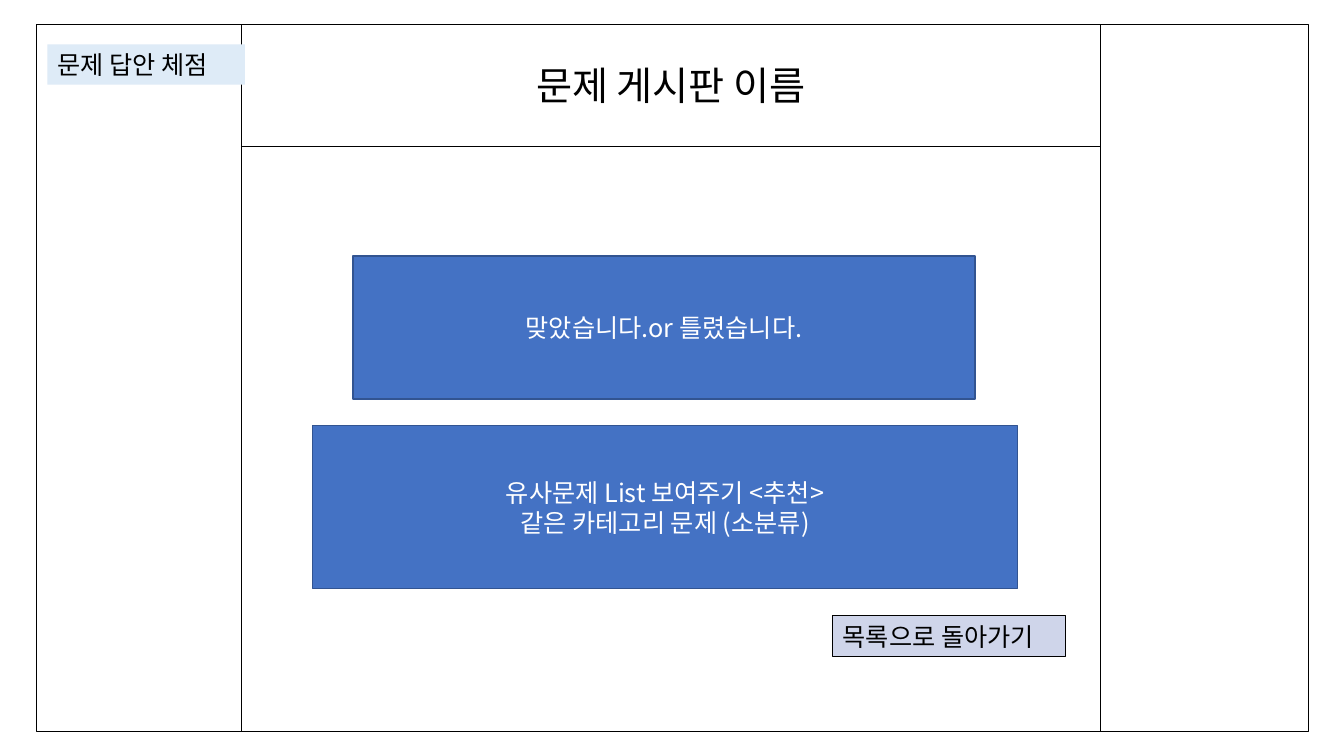
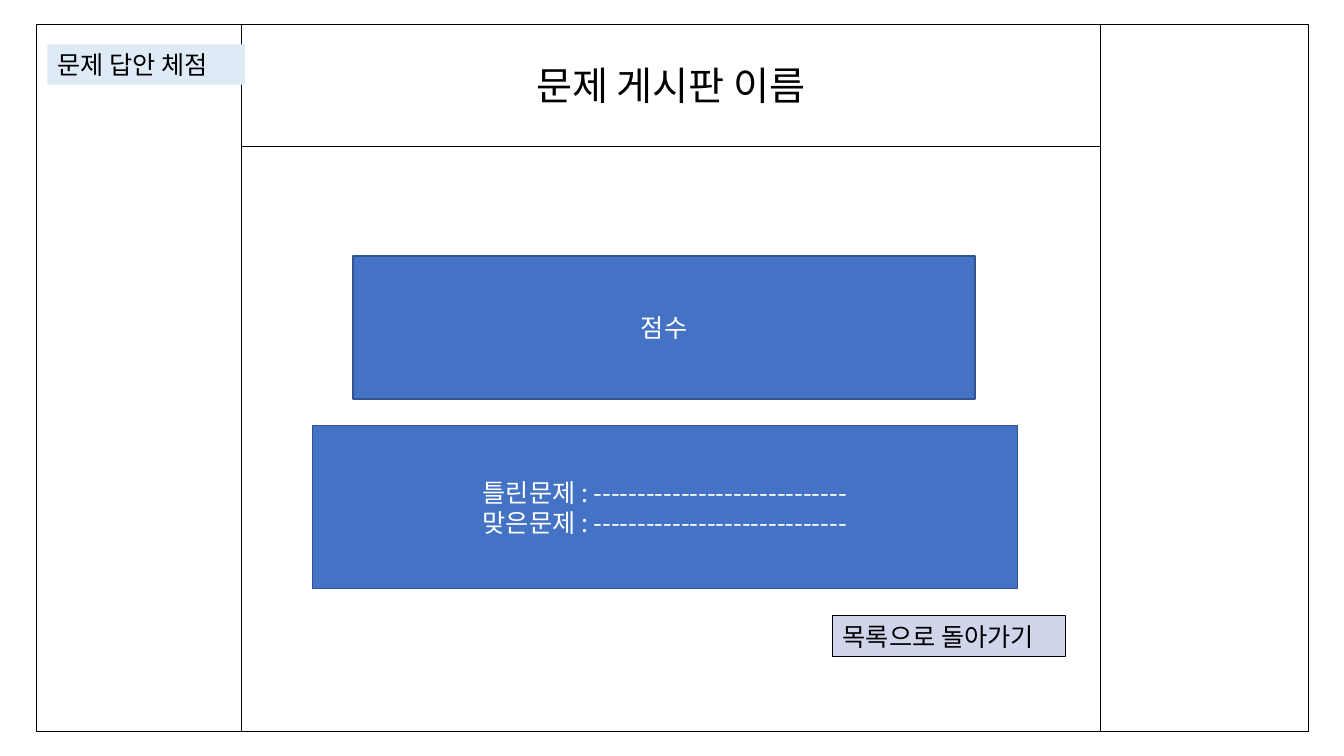
"""Wireframes of the grading result pages of a quiz board."""
from dataclasses import dataclass
from typing import Optional

import pptx
import pptx.dml.color
import pptx.enum.shapes
import pptx.enum.text
import pptx.oxml
import pptx.oxml.ns
import pptx.presentation
import pptx.shapes.autoshape
import pptx.slide
import pptx.util

ALIGN = pptx.enum.text.PP_ALIGN
ANCHOR = pptx.enum.text.MSO_ANCHOR
FIT = pptx.enum.text.MSO_AUTO_SIZE
WIDTH = pptx.util.Inches(13.33)
HEIGHT = pptx.util.Inches(7.5)
TITLE_ONLY = 5


@dataclass(frozen=True)
class Theme:
    """Colours, font and type sizes of all slides."""
    font: str = "Noto Sans CJK KR"
    title_size: int = 28
    body_size: int = 18
    dark: str = "000000"
    light: str = "FFFFFF"
    panel: str = "4472C4"
    panel_edge: str = "325491"
    label: str = "DEEBF7"
    button: str = "CFD5EA"


THEME = Theme()


@dataclass(frozen=True)
class Area:
    """A rectangle in percent of the slide's width and height."""
    left: float
    top: float
    width: float
    height: float

    @property
    def right(self) -> float:
        """Right edge in percent of the width."""
        return self.left + self.width

    @property
    def bottom(self) -> float:
        """Bottom edge in percent of the height."""
        return self.top + self.height


@dataclass(frozen=True)
class BoxStyle:
    """Look of a box and its text."""
    fill: Optional[str] = None
    edge: Optional[str] = None
    edge_width: float = 1
    text_color: str = THEME.dark
    align: ALIGN = ALIGN.LEFT
    anchor: ANCHOR = ANCHOR.TOP
    wrap: bool = True
    fit: FIT = FIT.SHAPE_TO_FIT_TEXT


@dataclass(frozen=True)
class ResultPage:
    """Texts that differ from page to page."""
    result: str
    details: str


FRAME = Area(2.7, 3.2, 94.65, 93.6)
LEFT_RULE, RIGHT_RULE, HEADER_RULE = 17.93, 81.85, 19.33
TITLE = Area(37.81, 7.47, 24.23, 7.6)
LABEL = Area(3.53, 5.87, 14.7, 5.33)
RESULT = Area(26.26, 33.87, 46.29, 18.93)
DETAILS = Area(23.26, 56.27, 52.44, 21.6)
BACK = Area(61.97, 81.47, 17.33, 5.33)

FRAME_STYLE = BoxStyle(edge=THEME.dark)
TITLE_STYLE = BoxStyle(align=ALIGN.CENTER, wrap=False)
LABEL_STYLE = BoxStyle(fill=THEME.label)
PANEL_STYLE = BoxStyle(THEME.panel, THEME.panel_edge, text_color=THEME.light,
                       align=ALIGN.CENTER, anchor=ANCHOR.MIDDLE, fit=FIT.NONE)
BUTTON_STYLE = BoxStyle(THEME.button, THEME.dark, 0.75, wrap=False)

DASHES = "-" * 29
PAGES = (
    ResultPage("맞았습니다.or 틀렸습니다.",
               "유사문제 List 보여주기 <추천>\n같은 카테고리 문제 (소분류)"),
    ResultPage("점수", f"틀린문제 : {DASHES}\n맞은문제 : {DASHES}"),
)


def across(share: float) -> int:
    """Turn a percentage of the slide's width into a length."""
    return round(WIDTH * share / 100)


def down(share: float) -> int:
    """Turn a percentage of the slide's height into a length."""
    return round(HEIGHT * share / 100)


def color(code: str) -> pptx.dml.color.RGBColor:
    """Turn a hexadecimal code into a colour."""
    return pptx.dml.color.RGBColor.from_string(code)


def write(frame: pptx.text.text.TextFrame, text: str, style: BoxStyle,
          size: int) -> None:
    """Fill a text frame with formatted paragraphs."""
    frame.text = text
    frame.word_wrap = style.wrap
    frame.auto_size = style.fit
    frame.vertical_anchor = style.anchor
    for paragraph in frame.paragraphs:
        paragraph.alignment = style.align
        font = paragraph.font
        font.name = THEME.font
        font.size = pptx.util.Pt(size)
        font.color.rgb = color(style.text_color)
        latin = paragraph._p.pPr.find(".//" + pptx.oxml.ns.qn("a:latin"))
        east_asian = pptx.oxml.parse_xml(
            f'<a:ea {pptx.oxml.ns.nsdecls("a")} typeface="{THEME.font}"/>')
        latin.addnext(east_asian)


def add_box(slide: pptx.slide.Slide, area: Area, style: BoxStyle,
            text: str = "") -> pptx.shapes.autoshape.Shape:
    """Draw a rectangle, with text where there is any."""
    shape = slide.shapes.add_shape(
        pptx.enum.shapes.MSO_SHAPE.RECTANGLE, across(area.left),
        down(area.top), across(area.width), down(area.height))
    shape.shadow.inherit = False
    if style.fill:
        shape.fill.solid()
        shape.fill.fore_color.rgb = color(style.fill)
    else:
        shape.fill.background()
    if style.edge:
        shape.line.color.rgb = color(style.edge)
        shape.line.width = pptx.util.Pt(style.edge_width)
    else:
        shape.line.fill.background()
    if text:
        write(shape.text_frame, text, style, THEME.body_size)
    return shape


def add_rule(slide: pptx.slide.Slide, left: float, top: float, right: float,
             bottom: float) -> None:
    """Draw a thin dividing line."""
    connector = slide.shapes.add_connector(
        pptx.enum.shapes.MSO_CONNECTOR.STRAIGHT, across(left), down(top),
        across(right), down(bottom))
    connector.line.color.rgb = color(THEME.dark)
    connector.line.width = pptx.util.Pt(0.5)
    connector._element.spPr.append(pptx.oxml.parse_xml(
        f'<a:effectLst {pptx.oxml.ns.nsdecls("a")}/>'))


def add_title(slide: pptx.slide.Slide, text: str) -> None:
    """Place and format the title placeholder."""
    title = slide.shapes.title
    title.left, title.top = across(TITLE.left), down(TITLE.top)
    title.width, title.height = across(TITLE.width), down(TITLE.height)
    write(title.text_frame, text, TITLE_STYLE, THEME.title_size)


def add_page(presentation: pptx.presentation.Presentation,
             page: ResultPage) -> None:
    """Add one result page with the shared layout."""
    slide = presentation.slides.add_slide(
        presentation.slide_layouts[TITLE_ONLY])
    add_box(slide, FRAME, FRAME_STYLE)
    for rule in (LEFT_RULE, RIGHT_RULE):
        add_rule(slide, rule, FRAME.top, rule, FRAME.bottom)
    add_rule(slide, LEFT_RULE, HEADER_RULE, RIGHT_RULE, HEADER_RULE)
    add_title(slide, "문제 게시판 이름")
    add_box(slide, LABEL, LABEL_STYLE, "문제 답안 체점")
    add_box(slide, RESULT, PANEL_STYLE, page.result)
    add_box(slide, DETAILS, PANEL_STYLE, page.details)
    add_box(slide, BACK, BUTTON_STYLE, "목록으로 돌아가기")


def main() -> None:
    """Build and save the presentation."""
    presentation = pptx.Presentation()
    presentation.slide_width = WIDTH
    presentation.slide_height = HEIGHT
    for page in PAGES:
        add_page(presentation, page)
    presentation.save("out.pptx")


main()
